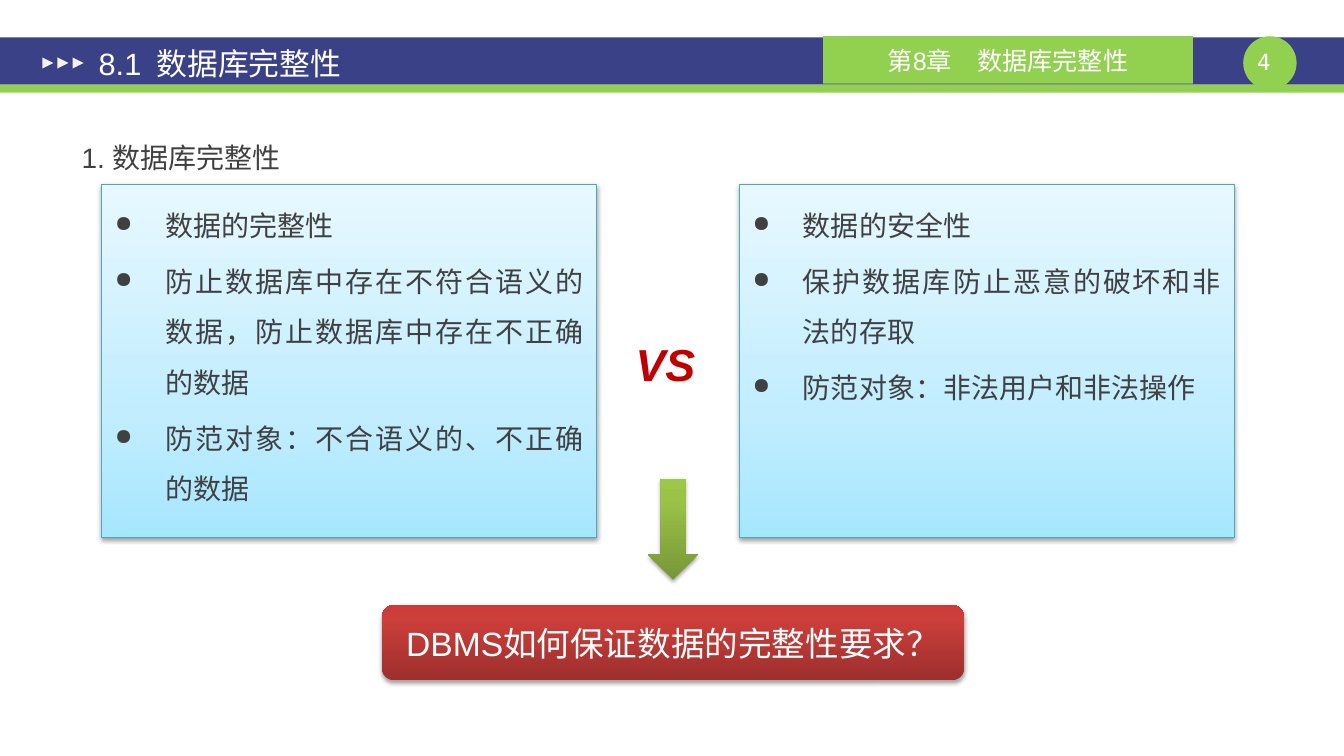
from pptx import Presentation
from pptx.dml.color import RGBColor
from pptx.enum.shapes import MSO_SHAPE as SHAPE
from pptx.enum.text import MSO_ANCHOR as ANCHOR, PP_ALIGN as ALIGN
from pptx.oxml import parse_xml
from pptx.oxml.ns import nsdecls, qn
from pptx.util import Inches, Pt

NAVY, GREEN, WHITE, PALE = "3A4187", "92D050", "FFFFFF", "F2F2F2"
DARK, RED, TEAL = "404040", "C00000", "46AAC5"
BLUES = [(0, "A7E6FF"), (35, "C1EDFF"), (100, "E7F8FF")]
GREENS = [(0, "779737"), (80, "9BC348"), (100, "9DC746")]
REDS = [(0, "9C2F2D"), (80, "CB3E3A"), (100, "CE3B37")]
WIDE = (0.13, 0.07)
SLIM = (0.1, 0.05)


def color(code):
    return RGBColor.from_string(code)


def node(tag, attrs):
    """Make an empty element in the drawing namespace."""
    return parse_xml(f"<a:{tag} {nsdecls('a')} {attrs}/>")


class Deck:
    def __init__(self, wide, high, font):
        self.font = font
        self.prs = Presentation()
        self.prs.slide_width, self.prs.slide_height = Inches(wide), Inches(high)
        self.slide = self.prs.slides.add_slide(self.prs.slide_layouts[6])

    def shape(self, kind, at, fill, line=None, turn=0):
        """Add a preset shape; a list of stops as fill gives a gradient."""
        item = self.slide.shapes.add_shape(kind, *map(Inches, at))
        item.shadow.inherit = False
        item.rotation = turn
        if isinstance(fill, list):
            self.blend(item, fill)
        else:
            item.fill.solid()
            item.fill.fore_color.rgb = color(fill)
        if line:
            item.line.color.rgb = color(line)
            item.line.width = Pt(0.75)
        else:
            item.line.fill.background()
        return item

    def blend(self, item, stops):
        item.fill.gradient()
        item.fill.gradient_angle = 90
        group = item._element.spPr.find(qn("a:gradFill")).find(qn("a:gsLst"))
        for old in list(group):
            group.remove(old)
        for place, code in stops:
            stop = node("gs", f'pos="{place * 1000}"')
            stop.append(node("srgbClr", f'val="{code}"'))
            group.append(stop)

    def shade(self, item, alpha, gap):
        """Give a shape a soft shadow straight below it."""
        cast = node("outerShdw", f'blurRad="{Pt(3.1)}" dist="{Pt(gap)}" '
                    'dir="5400000" rotWithShape="0"')
        tint = node("srgbClr", 'val="000000"')
        tint.append(node("alpha", f'val="{alpha * 1000}"'))
        cast.append(tint)
        item._element.spPr.find(qn("a:effectLst")).append(cast)

    def box(self, at, lines, size, code, **style):
        item = self.slide.shapes.add_textbox(*map(Inches, at))
        self.label(item, lines, size, code, **style)

    def label(self, item, lines, size, code, align=ALIGN.LEFT, anchor=ANCHOR.TOP,
              inset=SLIM, loose=False, bullet=False, font=None, strong=False):
        frame = item.text_frame
        frame.word_wrap = True
        frame.vertical_anchor = anchor
        frame.margin_left = frame.margin_right = Inches(inset[0])
        frame.margin_top = frame.margin_bottom = Inches(inset[1])
        frame.text = "\n".join(lines)
        for para in frame.paragraphs:
            para.alignment = align
            face = para.font
            face.name, face.size = font or self.font, Pt(size)
            face.color.rgb = color(code)
            if strong:
                face.bold = face.italic = True
            if loose:
                para.line_spacing = 1.5
                para.space_before = Pt(size * 0.2)
            if bullet:
                self.dot(para)

    def dot(self, para):
        props = para._p.get_or_add_pPr()
        props.set("marL", str(Inches(0.5)))
        props.set("indent", str(-Inches(0.5)))
        spot = props.find(qn("a:defRPr"))
        spot.addprevious(node("buSzPct", 'val="80000"'))
        spot.addprevious(node("buChar", 'char="●"'))


deck = Deck(13.34, 7.5, "Arial")

# Header band with page number and chapter
deck.shape(SHAPE.RECTANGLE, (0, 0.37, 13.34, 0.47), NAVY)
deck.shape(SHAPE.RECTANGLE, (0, 0.84, 13.34, 0.08), GREEN)
deck.shape(SHAPE.OVAL, (12.34, 0.36, 0.53, 0.53), GREEN)
deck.box((12.28, 0.48, 0.53, 0.27), ["4"], 16, WHITE, align=ALIGN.CENTER,
         inset=(0, 0), font="DejaVu Sans Mono")
chapter = deck.shape(SHAPE.RECTANGLE, (8.17, 0.36, 3.67, 0.47), GREEN)
deck.label(chapter, ["第8章\u3000数据库完整性"], 18, WHITE,
           align=ALIGN.CENTER, anchor=ANCHOR.MIDDLE)
for step in range(3):
    deck.shape(SHAPE.ISOSCELES_TRIANGLE, (0.42 + 0.15 * step, 0.57, 0.11, 0.11),
               PALE, turn=90)

# Title and heading
deck.box((0.85, 0.39, 5.83, 0.47), ["8.1\u2002数据库完整性"], 22, WHITE,
         anchor=ANCHOR.MIDDLE, inset=WIDE)
deck.box((0.68, 1.16, 12.01, 0.84), ["1. 数据库完整性"], 20, DARK,
         inset=WIDE, loose=True)

# Two panels set side by side
panels = [
    (1.01, ["数据的完整性",
            "防止数据库中存在不符合语义的数据，防止数据库中存在不正确的数据",
            "防范对象：不合语义的、不正确的数据"]),
    (7.34, ["数据的安全性",
            "保护数据库防止恶意的破坏和非法的存取",
            "防范对象：非法用户和非法操作"]),
]
for left, points in panels:
    panel = deck.shape(SHAPE.RECTANGLE, (left, 1.83, 4.91, 3.5), BLUES, TEAL)
    deck.shade(panel, 38, 1.6)
    deck.label(panel, points, 20, DARK, align=ALIGN.JUSTIFY, inset=WIDE,
               loose=True, bullet=True)
deck.box((6.18, 3, 1, 1), ["VS"], 32, RED, align=ALIGN.JUSTIFY, inset=WIDE,
         loose=True, strong=True)

# Arrow to the closing question
arrow = deck.shape(SHAPE.DOWN_ARROW, (6.43, 4.75, 0.5, 1), GREENS)
deck.shade(arrow, 35, 1.8)
query = deck.shape(SHAPE.ROUNDED_RECTANGLE, (3.79, 6, 5.78, 0.75), REDS)
deck.shade(query, 35, 1.8)
deck.label(query, ["DBMS如何保证数据的完整性要求？"], 24, WHITE,
           align=ALIGN.CENTER, anchor=ANCHOR.MIDDLE)

deck.prs.save("out.pptx")
